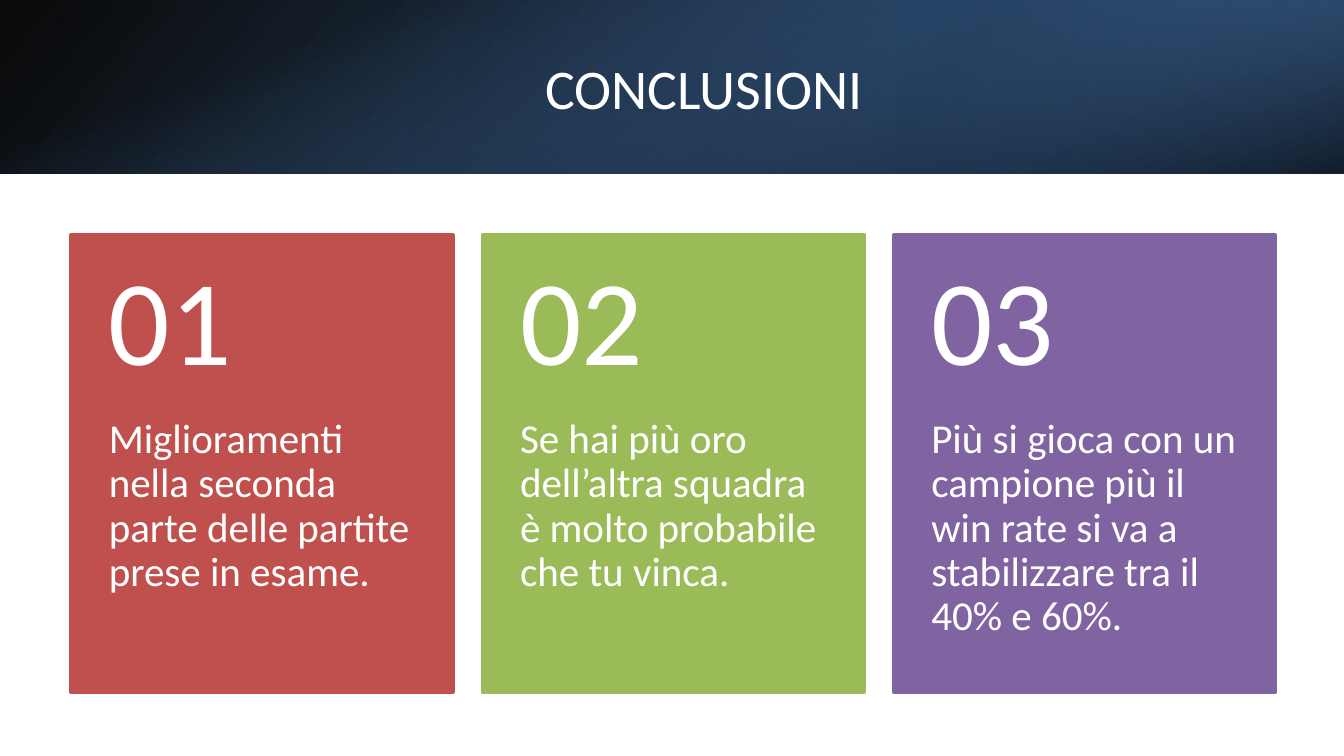
from pptx import Presentation
from pptx.dml.color import RGBColor
from pptx.enum.shapes import MSO_SHAPE as Shape
from pptx.enum.text import MSO_ANCHOR as Anchor, PP_ALIGN as Align
from pptx.oxml import parse_xml
from pptx.oxml.ns import nsdecls, qn
from pptx.util import Inches, Pt

WIDTH = 10
HEIGHT = WIDTH * 9 / 16
BANNER = 1.29
CARD_LEFT, CARD_TOP, CARD_W, CARD_H = 0.53, 1.75, 2.84, 3.4
GAP = 0.22
NUMBER_H = 0.4 * CARD_H
WHITE = "FFFFFF"


def rgb(color):
    return RGBColor.from_string(color)


def add_text(box, text, size, insets, anchor=Anchor.TOP, align=Align.LEFT, spacing=0.9):
    """Add a one-run white text box; box and insets run left, top, then the rest."""
    frame = slide.shapes.add_textbox(*map(Inches, box)).text_frame
    frame.word_wrap = True
    frame.vertical_anchor = anchor
    (frame.margin_left, frame.margin_top,
     frame.margin_right, frame.margin_bottom) = map(Inches, insets)
    paragraph = frame.paragraphs[0]
    paragraph.alignment = align
    paragraph.line_spacing = spacing
    run = paragraph.add_run()
    run.text = text
    run.font.size = Pt(size)
    run.font.name = "Calibri"
    run.font.color.rgb = rgb(WHITE)


prs = Presentation()
prs.slide_width, prs.slide_height = Inches(WIDTH), Inches(HEIGHT)
slide = prs.slides.add_slide(prs.slide_layouts[6])

# Banner: three layered gradients; each stop is position, colour, opacity in percent
upright_left = (WIDTH - BANNER) / 2
banner_layers = [
    ((0, 0, WIDTH, BANNER), 0, True, 140,
     [(0, "000000", 96), (100, "376092", 100)]),
    ((WIDTH * 2 / 3, 0, WIDTH / 3, BANNER), 180, True, 320,
     [(19, "254061", 68), (100, "4F81BD", 79)]),
    ((upright_left, -upright_left, BANNER, WIDTH), 90, False, 340,
     [(23, "4F81BD", 0), (99, "000000", 74)]),
]
for box, rotation, flipped, angle, stops in banner_layers:
    layer = slide.shapes.add_shape(Shape.RECTANGLE, *map(Inches, box))
    layer.shadow.inherit = False
    layer.rotation = rotation
    layer.line.fill.background()
    layer.fill.background()
    properties = layer._element.spPr
    if flipped:
        properties.find(qn("a:xfrm")).set("flipH", "1")
    stop_xml = "".join(
        f'<a:gs pos="{pos * 1000}"><a:srgbClr val="{color}">'
        f'<a:alpha val="{opacity * 1000}"/></a:srgbClr></a:gs>'
        for pos, color, opacity in stops)
    gradient = parse_xml(
        f'<a:gradFill {nsdecls("a")} rotWithShape="1"><a:gsLst>{stop_xml}</a:gsLst>'
        f'<a:lin ang="{angle * 60000}" scaled="0"/></a:gradFill>')
    properties.replace(properties.find(qn("a:noFill")), gradient)

add_text((1.12, 0.29, 8.24, 0.72), "CONCLUSIONI", 30, (0.1, 0.05, 0.1, 0.05),
         Anchor.MIDDLE, Align.CENTER, 1)

conclusions = [
    ("C0504D", "Miglioramenti nella seconda parte delle partite prese in esame."),
    ("9BBB59", "Se hai più oro dell’altra squadra è molto probabile che tu vinca."),
    ("8064A2", "Più si gioca con un campione più il win rate si va a stabilizzare "
               "tra il 40% e 60%."),
]
for column, (color, conclusion) in enumerate(conclusions):
    left = CARD_LEFT + column * (CARD_W + GAP)
    card = slide.shapes.add_shape(
        Shape.RECTANGLE, *map(Inches, (left, CARD_TOP, CARD_W, CARD_H)))
    card.shadow.inherit = False
    card.fill.solid()
    card.fill.fore_color.rgb = rgb(color)
    card.line.color.rgb = rgb(color)
    card.line.width = Pt(2)
    add_text((left, CARD_TOP + NUMBER_H, CARD_W, CARD_H - NUMBER_H),
             conclusion, 22, (0.28, 0, 0.28, 0.36))
    add_text((left, CARD_TOP, CARD_W, NUMBER_H),
             f"{column + 1:02}", 65, (0.28, 0.18, 0.28, 0.18), Anchor.MIDDLE)

prs.save("out.pptx")
